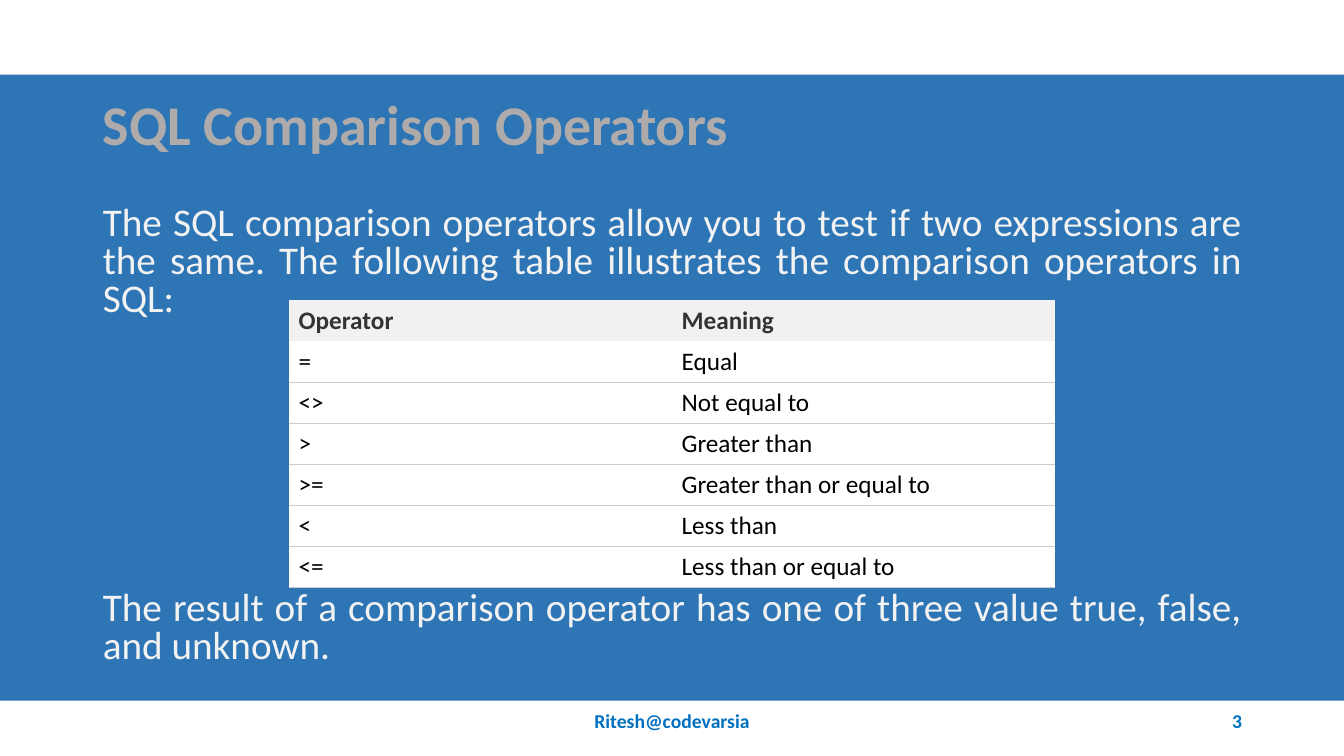
from dataclasses import dataclass
from typing import Any

from lxml.etree import SubElement
from pptx import Presentation
from pptx.dml.color import RGBColor
from pptx.enum.shapes import MSO_SHAPE
from pptx.enum.text import MSO_ANCHOR, MSO_AUTO_SIZE, PP_ALIGN
from pptx.oxml.ns import qn
from pptx.util import Inches, Pt

FONT = "Calibri"
WIDE, HIGH = Inches(13.33), Inches(7.5)
HUES = {
    "page": "FFFFFF", "band": "2E75B6", "title": "AFABAB", "body": "F2F2F2",
    "foot": "0070C0", "head": "333333", "cell": "000000", "shade": "F1F1F1",
    "rule": "CCCCCC",
}
INTRO = ("The SQL comparison operators allow you to test if two expressions are "
         "the same. The following table illustrates the comparison operators in SQL:")
RESULT = ("The result of a comparison operator has one of three value "
          "true, false, and unknown.")
ROWS = [
    ("Operator", "Meaning"),
    ("=", "Equal"),
    ("<>", "Not equal to"),
    (">", "Greater than"),
    (">=", "Greater than or equal to"),
    ("<", "Less than"),
    ("<=", "Less than or equal to"),
]


@dataclass(frozen=True)
class Box:
    """An area in percent of the slide's width and height."""
    left: float
    top: float
    width: float
    height: float

    def frame(self) -> tuple[int, int, int, int]:
        return (int(WIDE * self.left / 100), int(HIGH * self.top / 100),
                int(WIDE * self.width / 100), int(HIGH * self.height / 100))


@dataclass(frozen=True)
class Foot:
    text: str
    box: Box
    align: PP_ALIGN


BAND = Box(0, 9.87, 100, 82.8)
TITLE = Box(6.9, 11.2, 86.25, 11.33)
BODY = Box(6.9, 26.67, 86.25, 63.47)
GRID = Box(21.47, 39.73, 57, 38)
FEET = [
    Foot("Ritesh@codevarsia", Box(33.13, 92.67, 33.75, 5.33), PP_ALIGN.CENTER),
    Foot("3", Box(70.65, 92.67, 22.5, 5.33), PP_ALIGN.RIGHT),
]


def hue(name: str) -> RGBColor:
    return RGBColor.from_string(HUES[name])


def write(para: Any, text: str, *, size: float, color: str, bold: bool = False,
          align: PP_ALIGN = PP_ALIGN.LEFT, line: float = 1.0,
          before: float = 0) -> None:
    para.alignment = align
    para.line_spacing = line
    para.space_before = Pt(before)
    run = para.add_run()
    run.text = text
    font = run.font
    font.name, font.size, font.bold = FONT, Pt(size), bold
    font.color.rgb = hue(color)


def place(shape: Any, box: Box, anchor: MSO_ANCHOR) -> Any:
    """Move a text shape into a box and return its text frame."""
    shape.left, shape.top, shape.width, shape.height = box.frame()
    frame = shape.text_frame
    frame.word_wrap = True
    frame.auto_size = MSO_AUTO_SIZE.NONE
    frame.vertical_anchor = anchor
    return frame


def unlist(para: Any) -> None:
    """Take bullet and indent off a paragraph."""
    props = para._p.get_or_add_pPr()
    props.set("marL", "0")
    props.set("indent", "0")
    SubElement(props, qn("a:buNone"))


def edge(cell: Any, sides: str) -> None:
    """Rule the given sides of a cell and clear the others."""
    props = cell._tc.get_or_add_tcPr()
    for spot, side in enumerate("LRTB"):
        line = SubElement(props, qn(f"a:ln{side}"), w=str(Pt(0.75)))
        if side in sides:
            fill = SubElement(line, qn("a:solidFill"))
            SubElement(fill, qn("a:srgbClr"), val=HUES["rule"])
        else:
            SubElement(line, qn("a:noFill"))
        props.insert(spot, line)


def draw_grid(slide: Any) -> None:
    table = slide.shapes.add_table(len(ROWS), 2, *GRID.frame()).table
    table.first_row = table.horz_banding = False
    for r, row in enumerate(ROWS):
        head = r == 0
        sides = "" if head else "B" if r == 1 else "TB"
        for c, text in enumerate(row):
            cell = table.cell(r, c)
            cell.fill.solid()
            cell.fill.fore_color.rgb = hue("shade" if head else "page")
            edge(cell, sides)
            write(cell.text_frame.paragraphs[0], text, size=18, bold=head,
                  color="head" if head else "cell")


def main() -> None:
    deck = Presentation()
    deck.slide_width, deck.slide_height = WIDE, HIGH
    slide = deck.slides.add_slide(deck.slide_layouts[1])
    slide.background.fill.solid()
    slide.background.fill.fore_color.rgb = hue("page")
    title, body = slide.placeholders

    band = slide.shapes.add_shape(MSO_SHAPE.RECTANGLE, *BAND.frame())
    band.shadow.inherit = False
    band.fill.solid()
    band.fill.fore_color.rgb = hue("band")
    band.line.fill.background()
    title.element.addprevious(band.element)

    frame = place(title, TITLE, MSO_ANCHOR.MIDDLE)
    write(frame.paragraphs[0], "SQL Comparison Operators", size=40,
          color="title", bold=True, line=0.9)

    frame = place(body, BODY, MSO_ANCHOR.TOP)
    # The wide gap before the result leaves room for the table.
    for para, text, gap in ((frame.paragraphs[0], INTRO, 10),
                            (frame.add_paragraph(), RESULT, 194)):
        write(para, text, size=28, color="body", align=PP_ALIGN.JUSTIFY,
              line=0.8, before=gap)
        unlist(para)

    for foot in FEET:
        shape = slide.shapes.add_textbox(*foot.box.frame())
        frame = place(shape, foot.box, MSO_ANCHOR.MIDDLE)
        write(frame.paragraphs[0], foot.text, size=14, color="foot",
              bold=True, align=foot.align)

    draw_grid(slide)
    deck.save("out.pptx")


if __name__ == "__main__":
    main()
